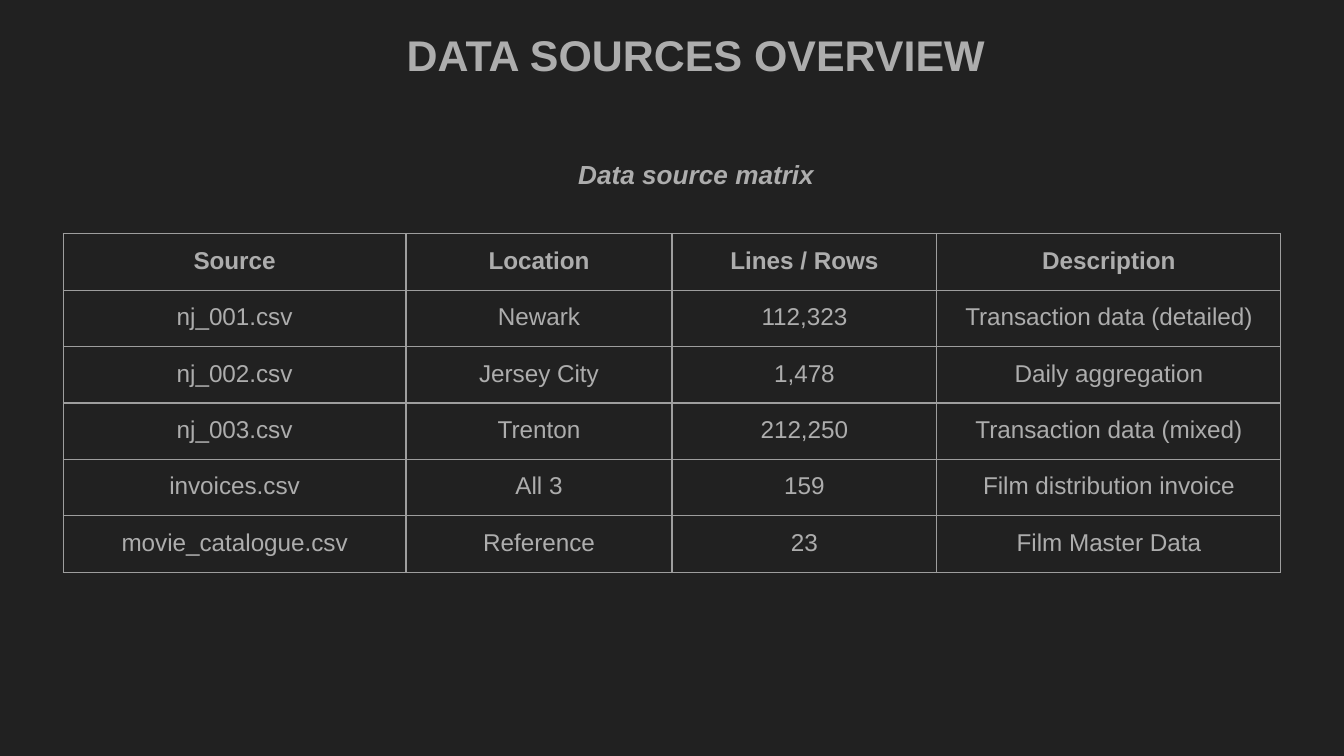
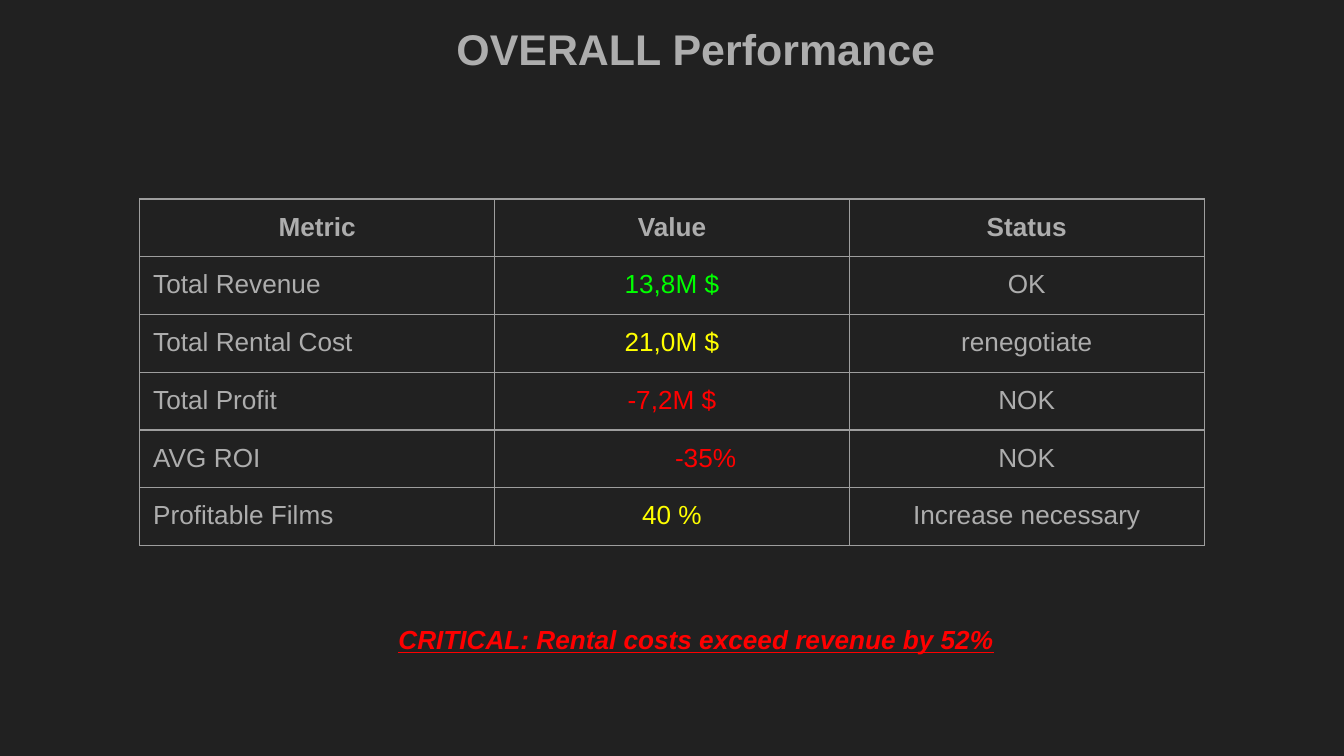
from dataclasses import dataclass

from lxml import etree
from pptx import Presentation
from pptx.dml.color import RGBColor
from pptx.enum.text import MSO_ANCHOR, MSO_AUTO_SIZE, PP_ALIGN
from pptx.oxml.ns import qn
from pptx.util import Inches, Pt

LEFT, CENTER = PP_ALIGN.LEFT, PP_ALIGN.CENTER
TOP = MSO_ANCHOR.TOP
NO_FIT, GROW = MSO_AUTO_SIZE.NONE, MSO_AUTO_SIZE.SHAPE_TO_FIT_TEXT
TITLE_ONLY = 5
BORDER_SIDES = ("a:lnL", "a:lnR", "a:lnT", "a:lnB")


@dataclass(frozen=True)
class Theme:
    font: str = "Arial"
    background: str = "212121"
    text: str = "ADADAD"
    border: str = "9E9E9E"
    good: str = "00FF00"
    warning: str = "FFFF00"
    bad: str = "FF0000"
    title_size: float = 23
    body_size: float = 14
    small_size: float = 13
    border_width: float = 0.75
    inset: float = 0.1
    text_axis: float = 5.18  # shared centre line of titles and captions


THEME = Theme()

SOURCES = [
    ("Source", "Location", "Lines / Rows", "Description"),
    ("nj_001.csv", "Newark", "112,323", "Transaction data (detailed)"),
    ("nj_002.csv", "Jersey City", "1,478", "Daily aggregation"),
    ("nj_003.csv", "Trenton", "212,250", "Transaction data (mixed)"),
    ("invoices.csv", "All 3", "159", "Film distribution invoice"),
    ("movie_catalogue.csv", "Reference", "23", "Film Master Data"),
]
METRICS = [
    ("Metric", "Value", "Status"),
    ("Total Revenue", "13,8M $", "OK"),
    ("Total Rental Cost", "21,0M $", "renegotiate"),
    ("Total Profit", "-7,2M $", "NOK"),
    ("AVG ROI", "-35%", "NOK"),
    ("Profitable Films", "40 %", "Increase necessary"),
]
STATUS_COLORS = {
    "OK": THEME.good,
    "renegotiate": THEME.warning,
    "NOK": THEME.bad,
    "Increase necessary": THEME.warning,
}


def write(tf, text, size=THEME.body_size, color=THEME.text, align=CENTER,
          bold=False, italic=False, underline=False, indent=0):
    p = tf.paragraphs[0]
    p.alignment = align
    if indent:
        p_pr = p._p.get_or_add_pPr()
        p_pr.set("marL", str(Inches(indent)))
        p_pr.set("indent", "0")
    r = p.add_run()
    r.text = text
    r.font.name = THEME.font
    r.font.size = Pt(size)
    r.font.bold, r.font.italic, r.font.underline = bold, italic, underline
    r.font.color.rgb = RGBColor.from_string(color)


def set_insets(target):
    """Give a text frame or a table cell the shared margins."""
    target.margin_left = target.margin_right = Inches(THEME.inset)
    target.margin_top = target.margin_bottom = Inches(THEME.inset)


def axis_box(top, width, height):
    return (Inches(THEME.text_axis - width / 2), Inches(top),
            Inches(width), Inches(height))


def add_title(slide, text, top, width):
    sp = slide.shapes.title
    sp.left, sp.top, sp.width, sp.height = axis_box(top, width, 0.59)
    tf = sp.text_frame
    tf.word_wrap, tf.auto_size, tf.vertical_anchor = True, NO_FIT, TOP
    set_insets(tf)
    write(tf, text, size=THEME.title_size, bold=True)


def add_caption(slide, text, top, width, **style):
    tf = slide.shapes.add_textbox(*axis_box(top, width, 0.44)).text_frame
    tf.word_wrap, tf.auto_size = True, GROW
    set_insets(tf)
    write(tf, text, bold=True, italic=True, **style)


def add_borders(cell):
    tc_pr = cell._tc.get_or_add_tcPr()
    for i, side in enumerate(BORDER_SIDES):
        ln = etree.Element(qn(side), w=str(Pt(THEME.border_width)))
        fill = etree.SubElement(ln, qn("a:solidFill"))
        etree.SubElement(fill, qn("a:srgbClr"), val=THEME.border)
        tc_pr.insert(i, ln)


def add_grid(slide, rows, left, top, col_widths, row_height, size, style_of=None):
    """Draw a bordered table; style_of(row, column) formats body cells."""
    frame = slide.shapes.add_table(
        len(rows), len(col_widths), Inches(left), Inches(top),
        Inches(sum(col_widths)), Inches(row_height * len(rows)))
    table = frame.table
    table.first_row = table.horz_banding = False
    for column, width in zip(table.columns, col_widths):
        column.width = Inches(width)
    for i, values in enumerate(rows):
        table.rows[i].height = Inches(row_height)
        for j, value in enumerate(values):
            cell = table.cell(i, j)
            cell.fill.background()
            add_borders(cell)
            set_insets(cell)
            style = style_of(values, j) if style_of and i else {}
            write(cell.text_frame, value, size=size, bold=i == 0, **style)


def metric_style(row, column):
    if column == 0:
        return {"align": LEFT}
    if column == 1:
        return {"color": STATUS_COLORS[row[2]],
                "indent": 0.5 if row[0] == "AVG ROI" else 0}
    return {}


def sources_slide(prs):
    slide = prs.slides.add_slide(prs.slide_layouts[TITLE_ONLY])
    add_caption(slide, "Data source matrix", top=1.08, width=3.28)
    add_title(slide, "DATA SOURCES OVERVIEW", top=0.11, width=4.93)
    add_grid(slide, SOURCES, 0.47, 1.74, (2.55, 1.98, 1.97, 2.56),
             row_height=0.42, size=THEME.small_size)


def performance_slide(prs):
    slide = prs.slides.add_slide(prs.slide_layouts[TITLE_ONLY])
    add_title(slide, "OVERALL Performance", top=0.07, width=6.83)
    add_grid(slide, METRICS, 1.04, 1.48, (2.64,) * 3,
             row_height=0.43, size=THEME.body_size, style_of=metric_style)
    add_caption(slide, "CRITICAL: Rental costs exceed revenue by 52%",
                top=4.54, width=5.09, color=THEME.bad, underline=True)


def main():
    prs = Presentation()
    prs.slide_width = Inches(10)
    prs.slide_height = Inches(10 * 9 / 16)
    fill = prs.slide_master.background.fill
    fill.solid()
    fill.fore_color.rgb = RGBColor.from_string(THEME.background)
    sources_slide(prs)
    performance_slide(prs)
    prs.save("out.pptx")


if __name__ == "__main__":
    main()
